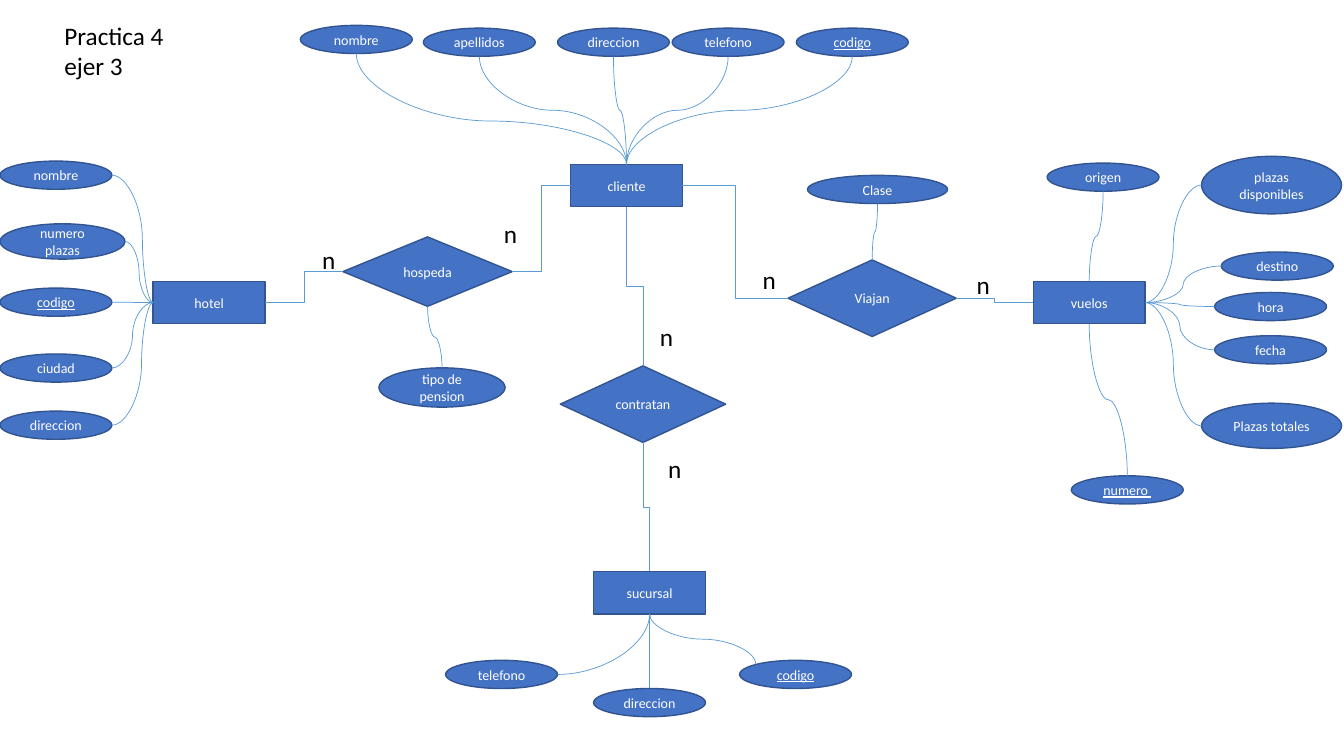
from lxml.etree import SubElement
from pptx import Presentation
from pptx.dml.color import RGBColor
from pptx.enum.shapes import MSO_CONNECTOR as Connector, MSO_SHAPE as Preset
from pptx.enum.text import MSO_ANCHOR as Anchor, MSO_AUTO_SIZE as AutoSize, PP_ALIGN as Align
from pptx.oxml.ns import qn
from pptx.util import Cm, Pt

BLUE = RGBColor(0x44, 0x72, 0xC4)
OUTLINE = RGBColor(0x32, 0x54, 0x91)
LINK = RGBColor(0x5B, 0x9B, 0xD5)
WHITE = RGBColor(0xFF, 0xFF, 0xFF)
BLACK = RGBColor(0x00, 0x00, 0x00)

TOP, LEFT, BOTTOM, RIGHT = range(4)
OVAL_SIZE = (2.82, 0.71)
ENTITY_SIZE = (2.82, 1.07)
NODE_FONT = {"name": "Calibri", "size": Pt(10), "color": WHITE}
LABEL_FONT = {"name": "Calibri", "size": Pt(18), "color": BLACK}

presentation = Presentation()
presentation.slide_width, presentation.slide_height = Cm(33.87), Cm(19.05)
slide = presentation.slides.add_slide(presentation.slide_layouts[5])


def write(shape, text, font_values, align, anchor):
    """Put one formatted paragraph into a shape."""
    frame = shape.text_frame
    frame.word_wrap, frame.auto_size = True, AutoSize.NONE
    frame.vertical_anchor = anchor
    paragraph = frame.paragraphs[0]
    paragraph.alignment = align
    run = paragraph.add_run()
    run.text = text
    for name, value in font_values.items():
        if name == "color":
            run.font.color.rgb = value
        else:
            setattr(run.font, name, value)


def link(kind, begin, begin_side, end, end_side, bend=None, preset=None, corner=False):
    """Join two shapes, the first one above or to the left of the second."""
    connector = slide.shapes.add_connector(kind, 0, 0, 0, 0)
    connector.begin_connect(begin, begin_side)
    connector.end_connect(end, end_side)
    if corner:  # upper left point of an ellipse
        connector.end_x = end.left + round(end.width * 0.146)
        connector.end_y = end.top + round(end.height * 0.146)

    # An ellipse has eight connection sites, two per side
    for tag, shape, side in (("a:stCxn", begin, begin_side), ("a:endCxn", end, end_side)):
        if shape.auto_shape_type == Preset.OVAL:
            site = 1 if corner and shape is end else side * 2
            next(connector.element.iter(qn(tag))).set("idx", str(site))

    # A route that leaves downwards is a horizontal one turned by 90 degrees
    properties = connector.element.spPr
    if begin_side == BOTTOM:
        x1, y1 = connector.begin_x, connector.begin_y
        x2, y2 = connector.end_x, connector.end_y
        width, height = abs(y2 - y1), abs(x2 - x1)
        connector.left = (x1 + x2 - width) // 2
        connector.top = (y1 + y2 - height) // 2
        connector.width, connector.height = width, height
        transform = properties.find(qn("a:xfrm"))
        transform.set("rot", "5400000")
        transform.set("flipH", "0")
        transform.set("flipV", "1" if x2 > x1 else "0")

    geometry = properties.find(qn("a:prstGeom"))
    if preset:
        geometry.set("prst", preset)
    if bend:
        guide = SubElement(geometry.find(qn("a:avLst")), qn("a:gd"))
        guide.set("name", "adj1")
        guide.set("fmla", f"val {round(bend * 100000)}")
    connector.line.color.rgb, connector.line.width = LINK, Pt(0.5)
    SubElement(properties, qn("a:effectLst"))


# Title
title = slide.shapes.title
title.left, title.top, title.width, title.height = Cm(1.37), Cm(0.38), Cm(3.38), Cm(1.8)
write(title, "Practica 4 ejer 3", LABEL_FONT, Align.LEFT, Anchor.TOP)

# Entities, relationships and attributes: key, preset, left, top, size
nodes = [
    ("sucursal", Preset.RECTANGLE, 14.96, 14.4, ENTITY_SIZE),
    ("hotel", Preset.RECTANGLE, 3.86, 7.09, ENTITY_SIZE),
    ("vuelos", Preset.RECTANGLE, 26.04, 7.09, ENTITY_SIZE),
    ("cliente", Preset.RECTANGLE, 14.38, 4.14, ENTITY_SIZE),
    ("Viajan", Preset.DIAMOND, 19.86, 6.55, (4.24, 1.93)),
    ("hospeda", Preset.DIAMOND, 8.64, 5.97, (4.27, 1.75)),
    ("contratan", Preset.DIAMOND, 14.12, 9.22, (4.17, 1.93)),
]
# Owner, side of the owner, label, left, top, size, bend of the link
attributes = [
    ("cliente", TOP, "nombre", 7.57, 0.64, OVAL_SIZE, 0.61),
    ("cliente", TOP, "apellidos", 10.67, 0.71, OVAL_SIZE, None),
    ("cliente", TOP, "direccion", 14.05, 0.71, OVAL_SIZE, None),
    ("cliente", TOP, "telefono", 16.94, 0.71, OVAL_SIZE, None),
    ("cliente", TOP, "codigo", 20.07, 0.71, OVAL_SIZE, None),
    ("hotel", LEFT, "nombre", 0, 4.06, OVAL_SIZE, 0.74),
    ("hotel", LEFT, "numero plazas", 0, 5.64, (3.15, 0.89), None),
    ("hotel", LEFT, "codigo", 0, 7.26, OVAL_SIZE, None),
    ("hotel", LEFT, "ciudad", 0, 8.92, OVAL_SIZE, None),
    ("hotel", LEFT, "direccion", 0, 10.36, OVAL_SIZE, 0.72),
    ("vuelos", TOP, "origen", 26.39, 4.11, OVAL_SIZE, None),
    ("vuelos", RIGHT, "plazas disponibles", 30.28, 3.94, (3.53, 1.45), None),
    ("vuelos", RIGHT, "destino", 30.78, 6.35, OVAL_SIZE, None),
    ("vuelos", RIGHT, "hora", 30.61, 7.37, OVAL_SIZE, None),
    ("vuelos", RIGHT, "fecha", 30.61, 8.46, OVAL_SIZE, None),
    ("vuelos", RIGHT, "Plazas totales", 30.28, 10.16, (3.53, 1.14), None),
    ("vuelos", BOTTOM, "numero ", 27, 11.99, OVAL_SIZE, None),
    ("Viajan", TOP, "Clase", 20.35, 4.42, (3.53, 0.71), None),
    ("hospeda", BOTTOM, "tipo de pension", 9.55, 9.27, (3.18, 0.99), None),
    ("sucursal", BOTTOM, "direccion", 14.96, 17.35, OVAL_SIZE, None),
    ("sucursal", None, "telefono", 11.23, 16.64, OVAL_SIZE, None),
    ("sucursal", None, "codigo", 18.64, 16.64, OVAL_SIZE, None),
]
nodes += [((owner, label), Preset.OVAL, left, top, size)
          for owner, _, label, left, top, size, _ in attributes]

shapes = {}
for key, preset, left, top, (width, height) in nodes:
    shape = slide.shapes.add_shape(preset, Cm(left), Cm(top), Cm(width), Cm(height))
    shape.shadow.inherit = False
    shape.fill.solid()
    shape.fill.fore_color.rgb = BLUE
    shape.line.color.rgb, shape.line.width = OUTLINE, Pt(1)
    label = key[1] if preset == Preset.OVAL else key
    font_values = dict(NODE_FONT, underline=label in ("codigo", "numero "))
    write(shape, label, font_values, Align.CENTER, Anchor.MIDDLE)
    shapes[key] = shape

# Curved links from attributes to their owners
for owner, side, label, *_, bend in attributes:
    if side is None:
        continue
    ends = [(shapes[owner], side), (shapes[owner, label], (side + 2) % 4)]
    if side in (TOP, LEFT):
        ends.reverse()
    link(Connector.CURVE, *ends[0], *ends[1], bend=bend)
link(Connector.CURVE, shapes["sucursal"], BOTTOM, shapes["sucursal", "telefono"], RIGHT,
     preset="curvedConnector2")
link(Connector.CURVE, shapes["sucursal"], BOTTOM, shapes["sucursal", "codigo"], TOP, corner=True)

# Elbow links between entities and relationships
for begin, begin_side, end in [
    ("cliente", BOTTOM, "contratan"),
    ("contratan", BOTTOM, "sucursal"),
    ("cliente", RIGHT, "Viajan"),
    ("Viajan", RIGHT, "vuelos"),
    ("hospeda", RIGHT, "cliente"),
    ("hotel", RIGHT, "hospeda"),
]:
    link(Connector.ELBOW, shapes[begin], begin_side, shapes[end], begin_side - 2)

# Cardinalities
for left, top, width in [(12.45, 5.38, 1.09), (7.87, 6.02, 0.71), (24.36, 6.65, 0.66),
                         (18.97, 6.53, 0.71), (16.38, 7.98, 1.24), (16.59, 11.3, 1.17)]:
    box = slide.shapes.add_textbox(Cm(left), Cm(top), Cm(width), Cm(1.02))
    write(box, "n", LABEL_FONT, Align.LEFT, Anchor.TOP)

presentation.save("out.pptx")
